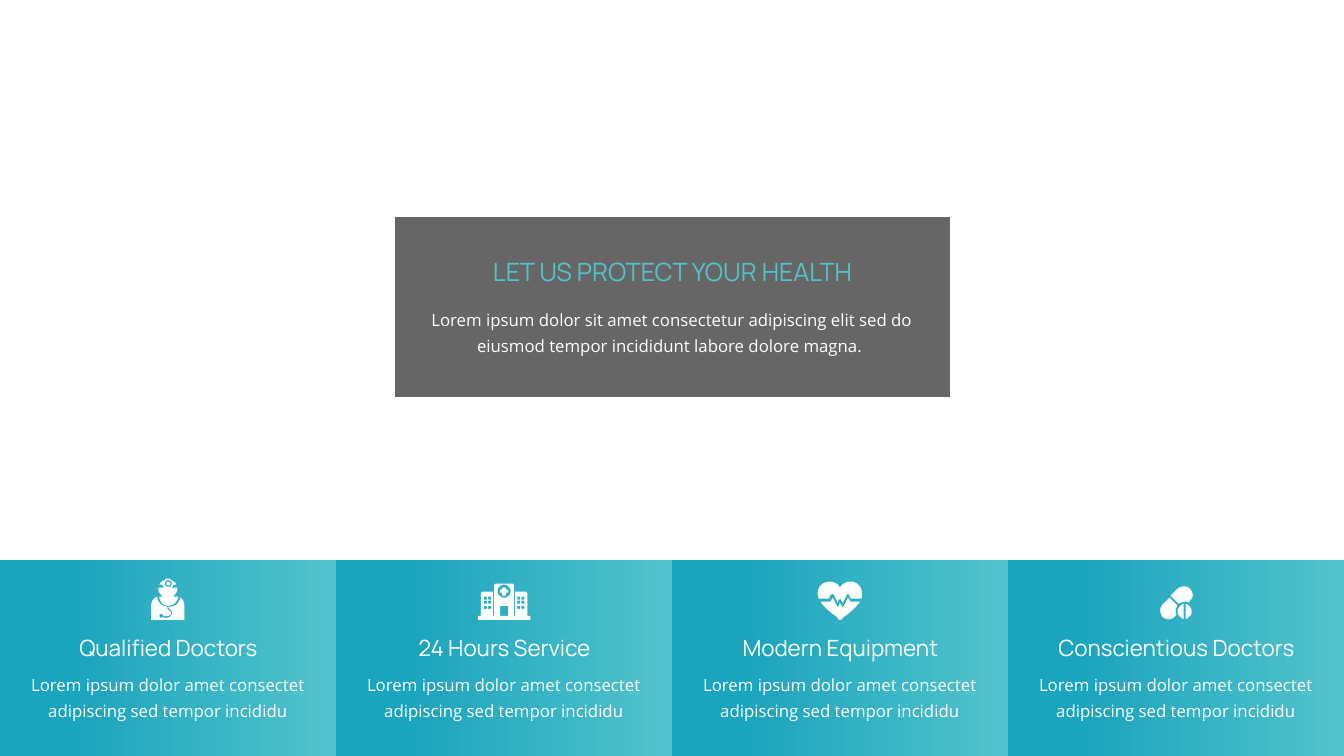
from math import cos, pi, sin
from itertools import product

from lxml.etree import SubElement
from pptx import Presentation
from pptx.dml.color import RGBColor
from pptx.enum.shapes import MSO_SHAPE
from pptx.enum.text import MSO_AUTO_SIZE, PP_ALIGN
from pptx.oxml.ns import qn
from pptx.util import Inches, Pt

COLORS = {"white": "FFFFFF", "black": "000000", "aqua": "52C3CB", "teal": "1AA4BE"}
HEAD, BODY = "Manrope", "Open Sans"
WIDTH, HEIGHT = 13.33, 7.5
TITLES = ["Qualified Doctors", "24 Hours Service", "Modern Equipment",
          "Conscientious Doctors"]
BLURB = "Lorem ipsum dolor amet consectet adipiscing sed tempor incididu"
PITCH = ("Lorem ipsum dolor sit amet consectetur adipiscing elit sed do "
         "eiusmod tempor incididunt labore dolore magna. ")


def color(name):
    return RGBColor.from_string(COLORS[name])


def add_text(slide, text, box, size=12, font=BODY, ink="white", space=None, wrap=True):
    frame = slide.shapes.add_textbox(*map(Inches, box)).text_frame
    frame.word_wrap = wrap
    frame.auto_size = MSO_AUTO_SIZE.SHAPE_TO_FIT_TEXT
    frame.margin_left = frame.margin_right = Inches(0.06)
    frame.margin_top = frame.margin_bottom = Inches(0.03)
    para = frame.paragraphs[0]
    para.alignment = PP_ALIGN.CENTER
    if space:
        para.line_spacing = space
    run = para.add_run()
    run.text = text
    run.font.size = Pt(size)
    run.font.name = font
    run.font.color.rgb = color(ink)


def add_rect(slide, box):
    rect = slide.shapes.add_shape(MSO_SHAPE.RECTANGLE, *map(Inches, box))
    rect.shadow.inherit = False
    rect.line.fill.background()
    return rect


def add_tile(slide, box):
    fill = add_rect(slide, box).fill
    fill.gradient()
    fill.gradient_angle = 180
    for stop, name, place in zip(fill.gradient_stops, ("aqua", "teal"), (0, 0.8)):
        stop.color.rgb = color(name)
        stop.position = place


def add_panel(slide, box):
    panel = add_rect(slide, box)
    panel.fill.solid()
    panel.fill.fore_color.rgb = color("black")
    tint = panel.fill._xPr.find(qn("a:solidFill"))[0]
    SubElement(tint, qn("a:alpha"), val="60000")
    panel.line.color.rgb = color("white")
    panel.line.width = Pt(1.25)


def trace(steps, count=8):
    points = [steps[0]]
    for step in steps[1:]:
        if len(step) == 2:
            points.append(step)
            continue
        nodes = [points[-1], step[:2], step[2:4], step[4:]]
        for i in range(1, count + 1):
            t = i / count
            weights = ((1 - t) ** 3, 3 * t * (1 - t) ** 2, 3 * t * t * (1 - t), t ** 3)
            points.append(tuple(sum(w * n[axis] for w, n in zip(weights, nodes))
                                for axis in (0, 1)))
    return points


def disc(x, y, radius, count=32):
    turns = [2 * pi * i / count for i in range(count)]
    return [(x + radius * cos(t), y + radius * sin(t)) for t in turns]


def box(x, y, width, height):
    return [(x, y), (x + width, y), (x + width, y + height), (x, y + height)]


def add_icon(slide, *loops):
    first, *holes = [[(Inches(x), Inches(y)) for x, y in trace(loop)] for loop in loops]
    pen = slide.shapes.build_freeform(*first[0])
    pen.add_line_segments(first[1:])
    for hole in holes:
        pen.move_to(*hole[0])
        pen.add_line_segments(hole[1:])
    icon = pen.convert_to_shape()
    icon.shadow.inherit = False
    icon.fill.solid()
    icon.fill.fore_color.rgb = color("white")
    icon.line.fill.background()


def add_doctor(slide):
    face = [(1.62, 5.92), (1.58, 5.92), (1.58, 5.94, 1.6, 6.01, 1.67, 6.01),
            (1.69, 6.01, 1.75, 6, 1.77, 5.92), (1.71, 5.92),
            (1.74, 5.9, 1.76, 5.87, 1.76, 5.84), (1.76, 5.83), (1.7, 5.83),
            (1.71, 5.82, 1.72, 5.81, 1.72, 5.8), (1.75, 5.8),
            (1.74, 5.78, 1.72, 5.76, 1.7, 5.76), (1.7, 5.75, 1.68, 5.74, 1.67, 5.74),
            (1.65, 5.74, 1.64, 5.74, 1.63, 5.76), (1.61, 5.76, 1.59, 5.78, 1.58, 5.8),
            (1.61, 5.8), (1.61, 5.81, 1.62, 5.82, 1.63, 5.83), (1.57, 5.83),
            (1.57, 5.84), (1.57, 5.87, 1.59, 5.9, 1.62, 5.92)]
    coat = [(1.83, 6.01), (1.83, 6.01, 1.83, 5.95, 1.79, 5.93),
            (1.77, 6.02, 1.69, 6.02, 1.67, 6.02), (1.67, 6.03),
            (1.67, 6.03, 1.68, 6.04, 1.69, 6.05), (1.71, 6.06, 1.71, 6.09, 1.7, 6.1),
            (1.69, 6.12, 1.67, 6.13, 1.65, 6.13), (1.64, 6.13, 1.63, 6.13, 1.61, 6.12),
            (1.61, 6.12, 1.6, 6.13, 1.6, 6.13), (1.59, 6.13, 1.58, 6.12, 1.58, 6.11),
            (1.58, 6.1, 1.59, 6.09, 1.6, 6.09), (1.61, 6.09, 1.62, 6.1, 1.62, 6.11),
            (1.65, 6.12, 1.68, 6.11, 1.69, 6.1), (1.7, 6.08, 1.7, 6.07, 1.68, 6.06),
            (1.67, 6.05, 1.66, 6.04, 1.66, 6.03), (1.66, 6.02),
            (1.58, 6.01, 1.56, 5.95, 1.56, 5.92), (1.5, 5.94, 1.5, 6, 1.5, 6.01),
            (1.5, 6.15), (1.83, 6.15)]
    add_icon(slide, face, disc(1.67, 5.79, 0.035))
    add_icon(slide, coat)
    add_icon(slide, disc(1.67, 5.79, 0.02))


def add_clinic(slide):
    half = [(5.08, 5.79), (5.09, 5.79, 5.1, 5.8, 5.1, 5.81), (5.1, 6.11), (5.11, 6.11),
            (5.11, 5.87), (5.21, 5.87), (5.22, 5.87, 5.23, 5.88, 5.23, 5.89),
            (5.23, 6.11), (5.26, 6.11), (5.26, 6.15)]
    right = trace(half)
    left = [(10 - x, y) for x, y in reversed(right)]
    panes = [box(x, y, 0.03, 0.03)
             for x, y in product((4.8, 4.84, 5.13, 5.17), (5.92, 5.96, 6.01))]
    cross = [(4.98, 5.83), (5.02, 5.83), (5.02, 5.85), (5.04, 5.85), (5.04, 5.88),
             (5.02, 5.88), (5.02, 5.91), (4.98, 5.91), (4.98, 5.88), (4.96, 5.88),
             (4.96, 5.85), (4.98, 5.85)]
    door = box(4.96, 6.01, 0.08, 0.1)
    add_icon(slide, right + left, *panes, door, disc(5, 5.865, 0.065), cross)


def add_heart(slide):
    add_icon(slide, [
        (8.44, 5.77), (8.38, 5.77, 8.35, 5.8, 8.33, 5.83),
        (8.32, 5.8, 8.28, 5.77, 8.23, 5.77), (8.16, 5.77, 8.11, 5.82, 8.11, 5.89),
        (8.11, 5.91, 8.12, 5.93, 8.12, 5.94), (8.22, 5.94), (8.24, 5.9),
        (8.25, 5.89, 8.26, 5.89, 8.27, 5.9), (8.31, 5.98), (8.32, 5.95),
        (8.33, 5.94, 8.34, 5.94, 8.34, 5.95), (8.36, 5.98), (8.4, 5.9),
        (8.4, 5.89, 8.42, 5.89, 8.42, 5.9), (8.44, 5.94), (8.54, 5.94),
        (8.55, 5.93, 8.55, 5.91, 8.55, 5.89), (8.55, 5.82, 8.5, 5.77, 8.44, 5.77)])
    add_icon(slide, [
        (8.44, 5.97), (8.43, 5.97, 8.43, 5.97, 8.43, 5.96), (8.41, 5.93), (8.37, 6.01),
        (8.37, 6.02, 8.36, 6.02, 8.36, 6.02), (8.35, 6.02, 8.35, 6.02, 8.35, 6.01),
        (8.33, 5.98), (8.32, 6.01), (8.31, 6.02, 8.3, 6.02, 8.3, 6.01), (8.26, 5.93),
        (8.24, 5.96), (8.24, 5.97, 8.23, 5.97, 8.23, 5.97), (8.14, 5.97),
        (8.16, 6.01, 8.21, 6.05, 8.27, 6.1), (8.29, 6.11, 8.31, 6.13, 8.32, 6.15),
        (8.34, 6.15), (8.36, 6.13, 8.38, 6.11, 8.4, 6.1),
        (8.46, 6.05, 8.5, 6.01, 8.53, 5.97)])


def add_pills(slide):
    add_icon(slide, [
        (11.8, 5.84), (11.77, 5.81, 11.72, 5.81, 11.68, 5.84), (11.61, 5.91),
        (11.69, 5.99), (11.71, 5.98, 11.73, 5.97, 11.75, 5.97),
        (11.76, 5.97, 11.78, 5.97, 11.79, 5.98), (11.8, 5.96),
        (11.84, 5.93, 11.84, 5.88, 11.8, 5.84)])
    add_icon(slide, [
        (11.68, 6.01), (11.6, 5.93), (11.53, 6), (11.5, 6.03, 11.5, 6.08, 11.53, 6.12),
        (11.56, 6.15, 11.62, 6.15, 11.65, 6.12), (11.67, 6.1),
        (11.66, 6.09, 11.66, 6.08, 11.66, 6.07), (11.66, 6.04, 11.67, 6.02, 11.68, 6.01)])
    half = [(11.68, 6.07), (11.68, 6.1, 11.71, 6.13, 11.74, 6.14), (11.74, 5.99),
            (11.71, 6, 11.68, 6.03, 11.68, 6.07)]
    add_icon(slide, half)
    add_icon(slide, [(23.5 - x, y) for x, y in trace(half)])


def main():
    deck = Presentation()
    deck.slide_width, deck.slide_height = Inches(WIDTH), Inches(HEIGHT)
    slide = deck.slides.add_slide(deck.slide_layouts[6])
    step = WIDTH / len(TITLES)
    for i, title in enumerate(TITLES):
        left = i * step
        add_tile(slide, (left, 5.56, step, 1.94))
        add_text(slide, title, (left + 0.23, 6.26, 2.88, 0.37), size=16, font=HEAD)
        add_text(slide, BLURB, (left + 0.12, 6.6, 3.09, 0.6), space=1.3)
    for draw in (add_doctor, add_clinic, add_heart, add_pills):
        draw(slide)
    add_panel(slide, (3.91, 2.14, 5.52, 1.81))
    add_text(slide, "LET US PROTECT YOUR HEALTH", (4.61, 2.51, 4.12, 0.4),
             size=18, font=HEAD, ink="aqua", wrap=False)
    add_text(slide, PITCH, (4.05, 2.98, 5.23, 0.6), space=1.3)
    deck.save("out.pptx")


if __name__ == "__main__":
    main()
